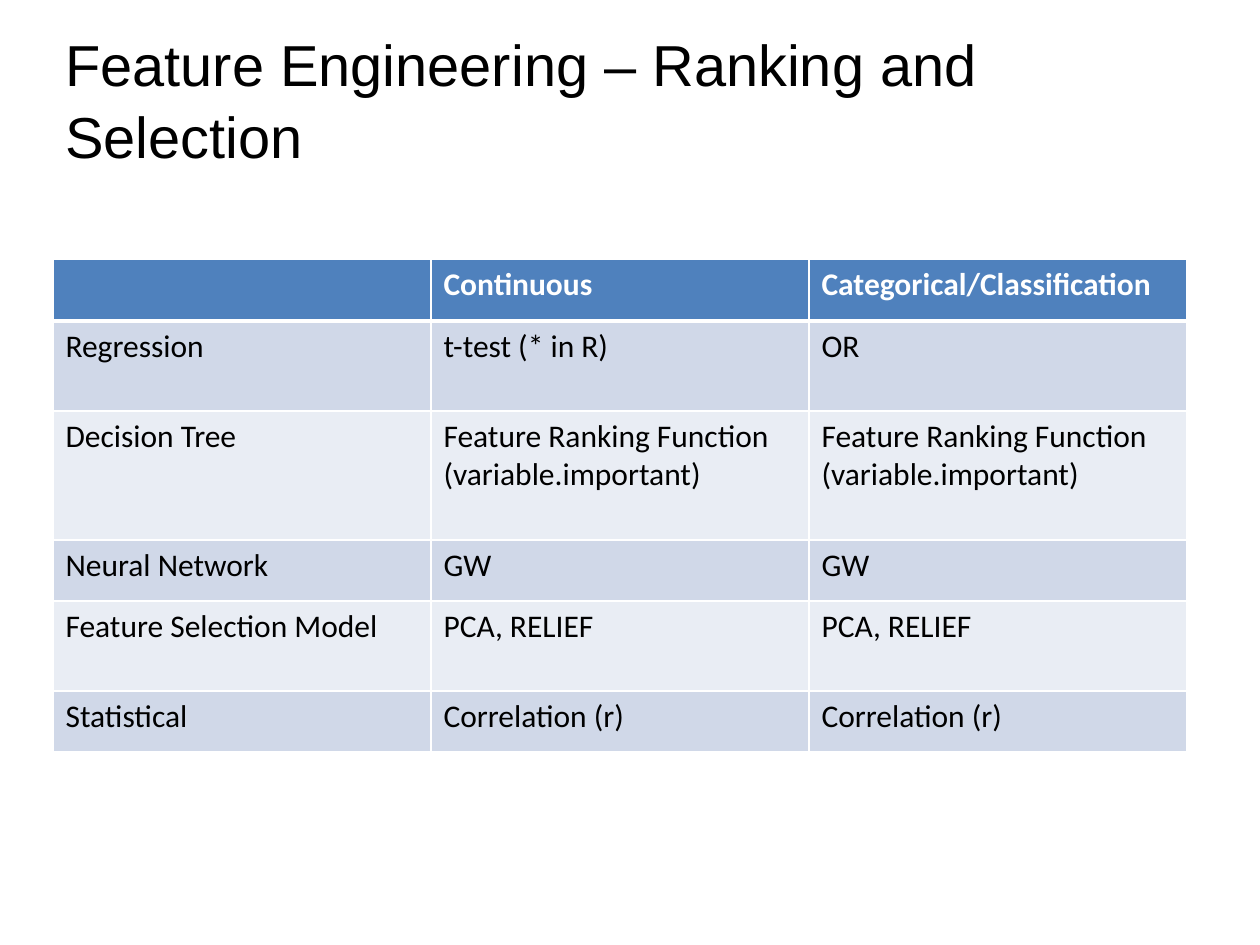
"""Build the feature ranking and selection slide."""
from dataclasses import dataclass

from lxml import etree
from pptx import Presentation, util as u
from pptx.dml.color import RGBColor
from pptx.enum import text
from pptx.oxml.ns import qn


@dataclass(frozen=True)
class Theme:
    ink: str = "000000"
    paper: str = "FFFFFF"
    header: str = "4F81BD"
    bands: tuple = ("D0D8E8", "E9EDF4")
    title_font: str = "Arial"
    body_font: str = "Calibri"
    title_size: int = 33
    body_size: int = 18
    rule: int = 1
    header_rule: int = 3


class Deck:
    def __init__(self, prs, theme):
        self.theme = theme
        self.s = prs.slides.add_slide(prs.slide_layouts[6])

    @staticmethod
    def px(n):
        return u.Emu(round(n * 914400 / 126))

    def add_words(self, tf, words, **style):
        p = tf.paragraphs[0]
        r = p.add_run()
        r.text = words
        r.font.color.rgb = RGBColor.from_string(style.pop("color"))
        for name, value in style.items():
            setattr(r.font, name, value)
        return p

    def title(self, words, *box):
        t = self.theme
        tf = self.s.shapes.add_textbox(*map(self.px, box)).text_frame
        frame = {"word_wrap": True, "vertical_anchor": text.MSO_ANCHOR.MIDDLE,
                 "margin_top": self.px(12)}
        for name, value in frame.items():
            setattr(tf, name, value)
        p = self.add_words(tf, words, color=t.ink, name=t.title_font, size=u.Pt(t.title_size))
        p.line_spacing = 1.04

    def border(self, cell, side, width):
        tc_pr = cell._tc.get_or_add_tcPr()
        ln = etree.SubElement(tc_pr, qn("a:" + side), w=str(u.Pt(width)))
        fill = etree.SubElement(ln, qn("a:solidFill"))
        etree.SubElement(fill, qn("a:srgbClr"), val=self.theme.paper)

    def cell(self, cell, words, row):
        t = self.theme
        head = row == 0
        widths = {"lnL": t.rule, "lnR": t.rule,
                  "lnT": t.header_rule if row == 1 else t.rule,
                  "lnB": t.header_rule if head else t.rule}
        for side, width in widths.items():
            self.border(cell, side, width)
        cell.fill.solid()
        fill = t.header if head else t.bands[(row - 1) % 2]
        cell.fill.fore_color.rgb = RGBColor.from_string(fill)
        self.add_words(cell.text_frame, words, color=t.paper if head else t.ink,
                       name=t.body_font, size=u.Pt(t.body_size), bold=head)

    def table(self, rows, heights, left, top, col_width):
        cols = len(rows[0])
        box = map(self.px, (left, top, col_width * cols, sum(heights)))
        tbl = self.s.shapes.add_table(len(rows), cols, *box).table
        for col in tbl.columns:
            col.width = self.px(col_width)
        for i, (row, height) in enumerate(zip(rows, heights)):
            tbl.rows[i].height = self.px(height)
            for j, words in enumerate(row):
                self.cell(tbl.cell(i, j), words, i)


def main():
    prs = Presentation()
    prs.slide_width, prs.slide_height = Deck.px(1260), Deck.px(945)
    deck = Deck(prs, Theme())
    deck.title("Feature Engineering – Ranking and Selection", 53, 16, 1134, 158)
    ranking = "Feature Ranking Function (variable.important)"
    rows = [
        ("", "Continuous", "Categorical/Classification"),
        ("Regression", "t-test (* in R)", "OR"),
        ("Decision Tree", ranking, ranking),
        ("Neural Network", "GW", "GW"),
        ("Feature Selection Model", "PCA, RELIEF", "PCA, RELIEF"),
        ("Statistical", "Correlation (r)", "Correlation (r)"),
    ]
    deck.table(rows, (62, 90, 129, 61, 90, 61), 53, 259, 378)
    prs.save("out.pptx")


if __name__ == "__main__":
    main()
